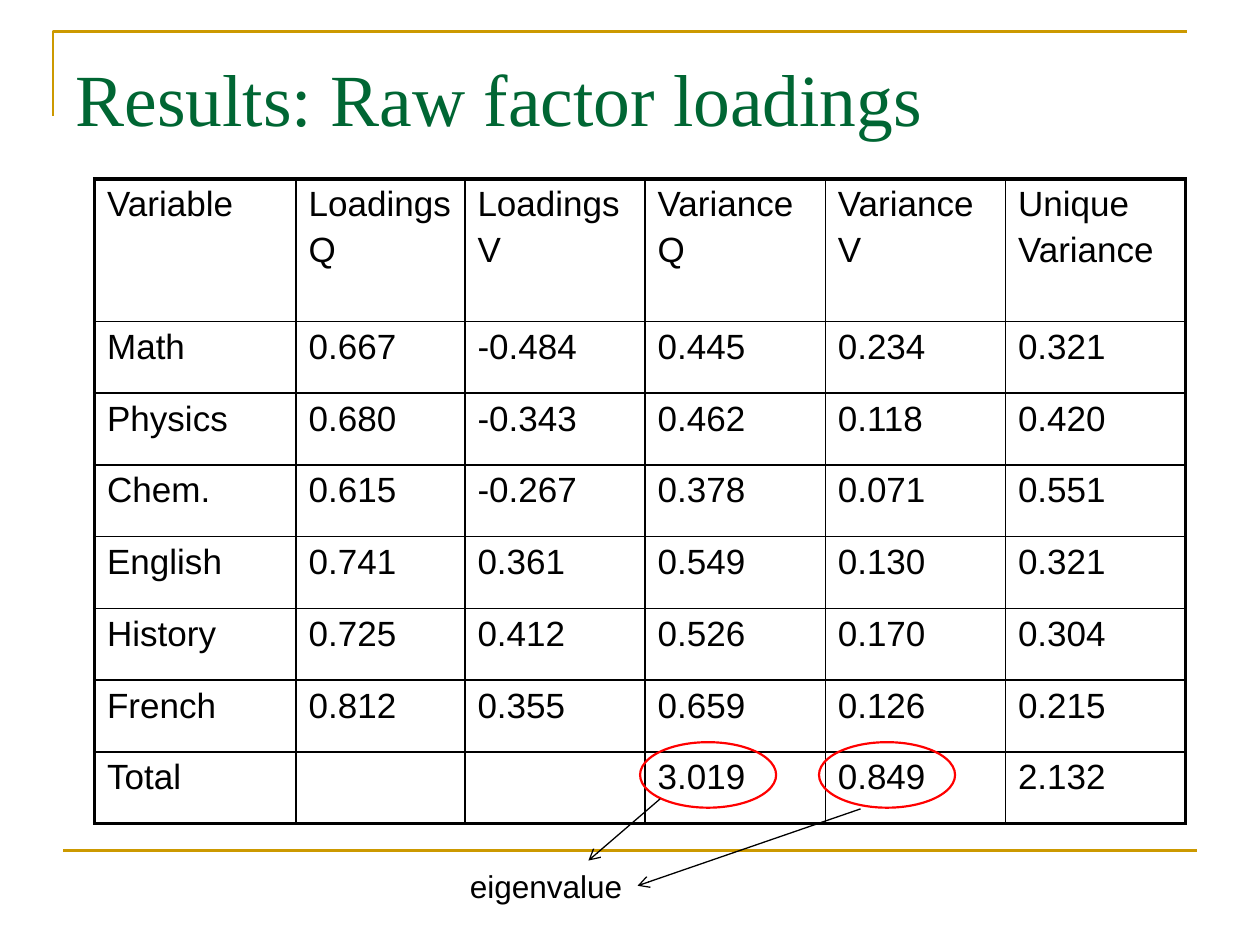
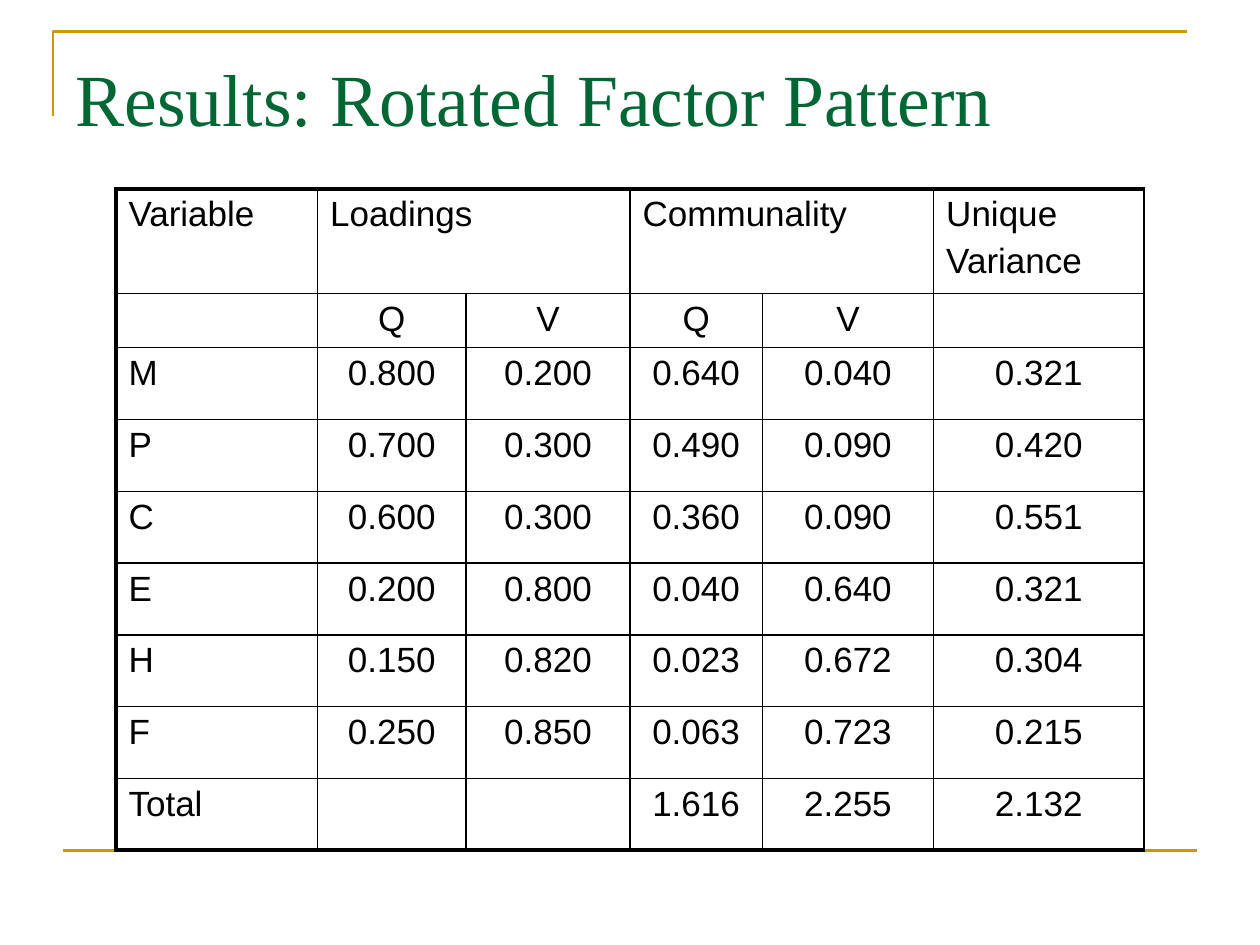
import pptx
import pptx.util
import pptx.dml.color
import pptx.enum.shapes
import pptx.enum.text
import pptx.oxml
import pptx.oxml.ns

Inches, Pt = pptx.util.Inches, pptx.util.Pt
ALIGN = pptx.enum.text.PP_ALIGN
ANCHOR = pptx.enum.text.MSO_ANCHOR
AUTO = pptx.enum.text.MSO_AUTO_SIZE

GOLD, GREEN, RED, BLACK = "CC9900", "006633", "FF0000", "000000"
BODY_FONT, TITLE_FONT = "Arial", "Times New Roman"
THIN, THICK = 1, 2.25

RAW = {
    "title": "Results: Raw factor loadings",
    "at": (0.75, 1.42),
    "cols": [1.6, 1.34, 1.43, 1.43, 1.43, 1.43],
    "heads": [1.13],
    "align": ALIGN.LEFT,
    "right": THICK,
    "spans": [],
    "rows": [
        ["Variable", "Loadings\nQ", "Loadings\nV", "Variance \nQ", "Variance\nV",
         "Unique\nVariance"],
        ["Math", "0.667", "-0.484", "0.445", "0.234", "0.321"],
        ["Physics", "0.680", "-0.343", "0.462", "0.118", "0.420"],
        ["Chem.", "0.615", "-0.267", "0.378", "0.071", "0.551"],
        ["English", "0.741", "0.361", "0.549", "0.130", "0.321"],
        ["History", "0.725", "0.412", "0.526", "0.170", "0.304"],
        ["French", "0.812", "0.355", "0.659", "0.126", "0.215"],
        ["Total", "", "", "3.019", "0.849", "2.132"],
    ],
}
ROTATED = {
    "title": "Results: Rotated Factor Pattern",
    "at": (0.92, 1.5),
    "cols": [1.6, 1.18, 1.3, 1.05, 1.36, 1.67],
    "heads": [0.83, 0.43],
    "align": ALIGN.CENTER,
    "right": THIN,
    "spans": [1, 3],
    "rows": [
        ["Variable", "Loadings", "", "Communality", "", "Unique\nVariance"],
        ["", "Q", "V", "Q", "V", ""],
        ["M", "0.800", "0.200", "0.640", "0.040", "0.321"],
        ["P", "0.700", "0.300", "0.490", "0.090", "0.420"],
        ["C", "0.600", "0.300", "0.360", "0.090", "0.551"],
        ["E", "0.200", "0.800", "0.040", "0.640", "0.321"],
        ["H", "0.150", "0.820", "0.023", "0.672", "0.304"],
        ["F", "0.250", "0.850", "0.063", "0.723", "0.215"],
        ["Total", "", "", "1.616", "2.255", "2.132"],
    ],
}
ROW_HEIGHT = 0.57
EIGENVALUE_RINGS = [(5.08, 5.89), (6.5, 5.89)]
EIGENVALUE_ARROWS = [((5.24, 6.34), (4.67, 6.83)), ((6.83, 6.42), (5.06, 7.03))]


def rgb(color):
    """Turn a hex string into a colour."""
    return pptx.dml.color.RGBColor.from_string(color)


def style_font(p, name, size, color):
    """Set the font of a paragraph."""
    p.font.name, p.font.size = name, Pt(size)
    p.font.color.rgb = rgb(color)


def style_line(sp, color, width):
    """Set the outline of a shape or connector."""
    sp.line.color.rgb = rgb(color)
    sp.line.width = Pt(width)


def add_line(slide, start, end, color, width, arrow=False):
    """Draw a straight line without shadow, with an arrowhead if asked."""
    line = slide.shapes.add_connector(
        pptx.enum.shapes.MSO_CONNECTOR.STRAIGHT, *map(Inches, start + end))
    style_line(line, color, width)
    if arrow:
        pptx.oxml.ns.qn("a:ln")
        ln = line.line._get_or_add_ln()
        ln.append(pptx.oxml.parse_xml(
            f'<a:tailEnd {pptx.oxml.ns.nsdecls("a")} type="arrow"/>'))
    line.element.spPr.append(pptx.oxml.parse_xml(
        f'<a:effectLst {pptx.oxml.ns.nsdecls("a")}/>'))
    return line


def add_frame(prs, slide):
    """Draw the gold corner and rule, then move them to the master."""
    fb = slide.shapes.build_freeform(Inches(0.42), Inches(0.92))
    fb.add_line_segments([(Inches(0.42), Inches(0.25)),
                          (Inches(9.42), Inches(0.25))], close=False)
    corner = fb.convert_to_shape()
    corner.fill.background()
    corner.shadow.inherit = False
    style_line(corner, GOLD, 1.5)
    rule = add_line(slide, (0.5, 6.75), (9.5, 6.75), GOLD, 1.5)
    for number, sp in enumerate((corner, rule), 100):
        sp.element.xpath(".//p:cNvPr")[0].set("id", str(number))
        prs.slide_master.element.cSld.spTree.append(sp.element)


def add_title(slide, text):
    """Place and format the slide title."""
    sp = slide.shapes.title
    sp.left, sp.top, sp.width, sp.height = map(Inches, (0.5, 0.3, 9, 1.25))
    tf = sp.text_frame
    tf.text = text
    tf.auto_size, tf.vertical_anchor = AUTO.NONE, ANCHOR.TOP
    tf.margin_top = Inches(0.12)
    p = tf.paragraphs[0]
    p.alignment = ALIGN.LEFT
    style_font(p, TITLE_FONT, 42, GREEN)


def set_borders(cell, widths):
    """Give a cell black left, right, top and bottom borders."""
    tcPr = cell._tc.get_or_add_tcPr()
    for i, (side, width) in enumerate(zip("LRTB", widths)):
        tcPr.insert(i, pptx.oxml.parse_xml(
            f'<a:ln{side} {pptx.oxml.ns.nsdecls("a")} w="{Pt(width)}">'
            f'<a:solidFill><a:srgbClr val="{BLACK}"/></a:solidFill></a:ln{side}>'))


def add_results(slide, data):
    """Draw a results table with a thick outer border."""
    rows, cols = data["rows"], data["cols"]
    heads = data["heads"]
    heights = heads + [ROW_HEIGHT] * (len(rows) - len(heads))
    table = slide.shapes.add_table(
        len(rows), len(cols), *map(Inches, data["at"]),
        Inches(sum(cols)), Inches(sum(heights))).table
    table.first_row = table.horz_banding = False
    for column, width in zip(table.columns, cols):
        column.width = Inches(width)
    for row, height in zip(table.rows, heights):
        row.height = Inches(height)
    for c in data["spans"]:
        table.cell(0, c).merge(table.cell(0, c + 1))
    last_row, last_col = len(rows) - 1, len(cols) - 1
    for r, texts in enumerate(rows):
        for c, text in enumerate(texts):
            cell = table.cell(r, c)
            cell.text = text
            cell.fill.background()
            set_borders(cell, (THICK if c == 0 else THIN,
                               data["right"] if c == last_col else THIN,
                               THICK if r == 0 else THIN,
                               THICK if r == last_row else THIN))
            for p in cell.text_frame.paragraphs:
                p.alignment = data["align"] if r and c else ALIGN.LEFT
                p.space_before = Pt(4)
                style_font(p, BODY_FONT, 20, BLACK)


def add_eigenvalue_note(slide):
    """Ring the totals and point from them to their name."""
    for left, top in EIGENVALUE_RINGS:
        ring = slide.shapes.add_shape(
            pptx.enum.shapes.MSO_SHAPE.OVAL,
            *map(Inches, (left, top, 1.08, 0.52)))
        ring.fill.background()
        ring.shadow.inherit = False
        style_line(ring, RED, 1.25)
    for start, end in EIGENVALUE_ARROWS:
        add_line(slide, start, end, BLACK, 0.75, arrow=True)
    tf = slide.shapes.add_textbox(
        *map(Inches, (3.63, 6.83, 1.42, 0.4))).text_frame
    tf.text = "eigenvalue"
    tf.word_wrap, tf.auto_size = False, AUTO.SHAPE_TO_FIT_TEXT
    style_font(tf.paragraphs[0], BODY_FONT, 18, BLACK)


prs = pptx.Presentation()
prs.slide_width, prs.slide_height = Inches(10), Inches(7.5)
title_only = prs.slide_layouts[5]
slides = []
for data in (RAW, ROTATED):
    slide = prs.slides.add_slide(title_only)
    add_title(slide, data["title"])
    add_results(slide, data)
    slides.append(slide)
add_frame(prs, slides[0])
add_eigenvalue_note(slides[0])
prs.save("out.pptx")
